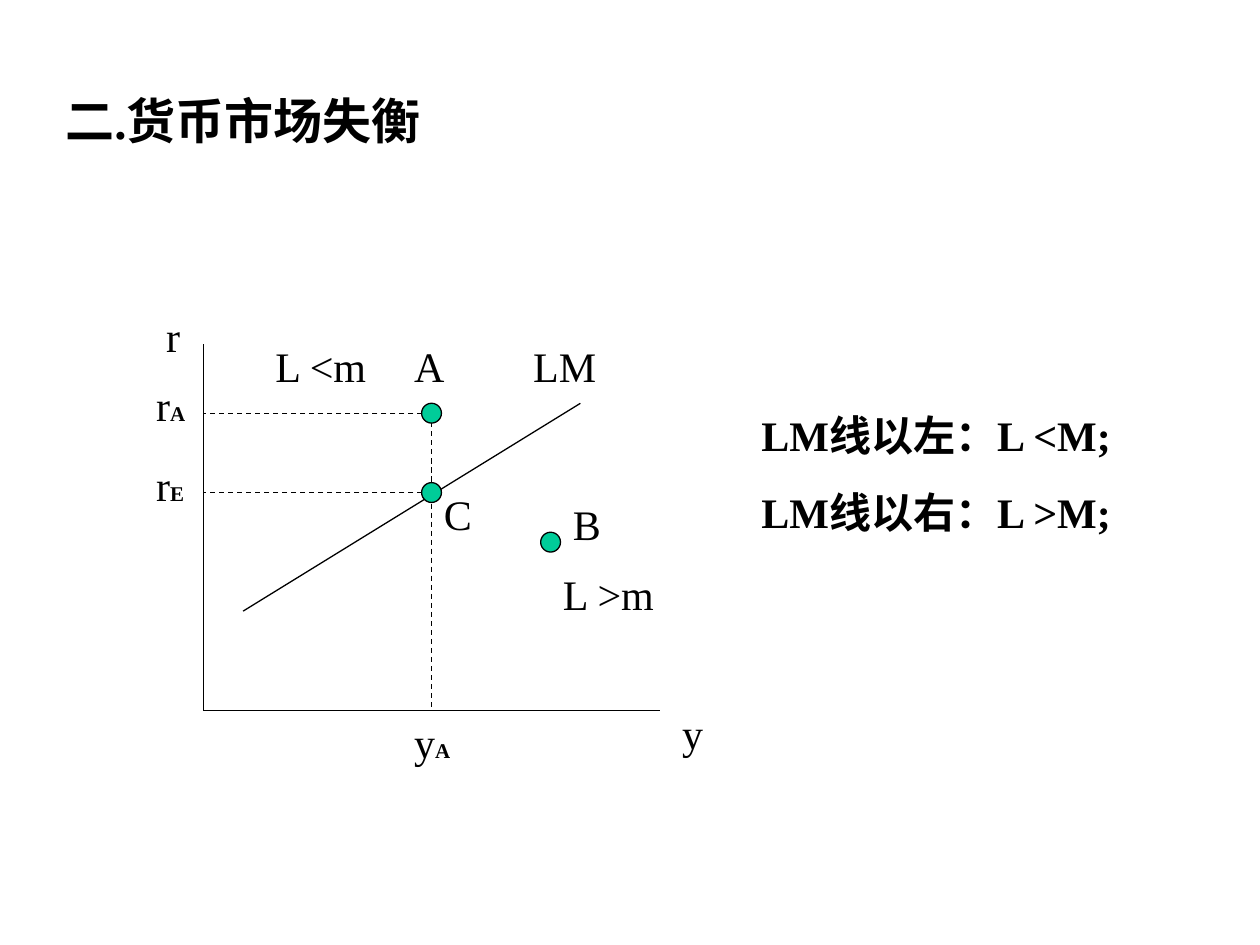
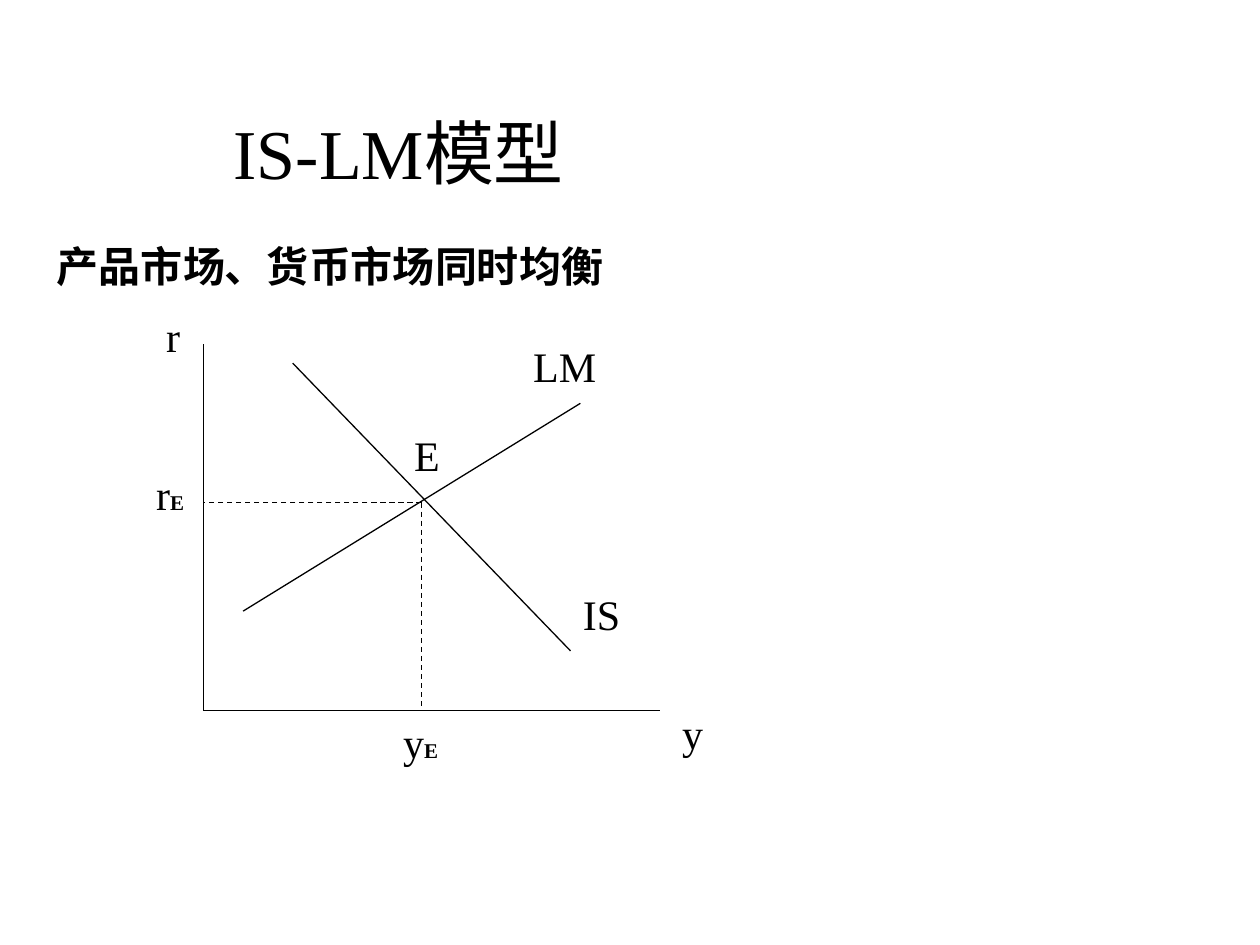
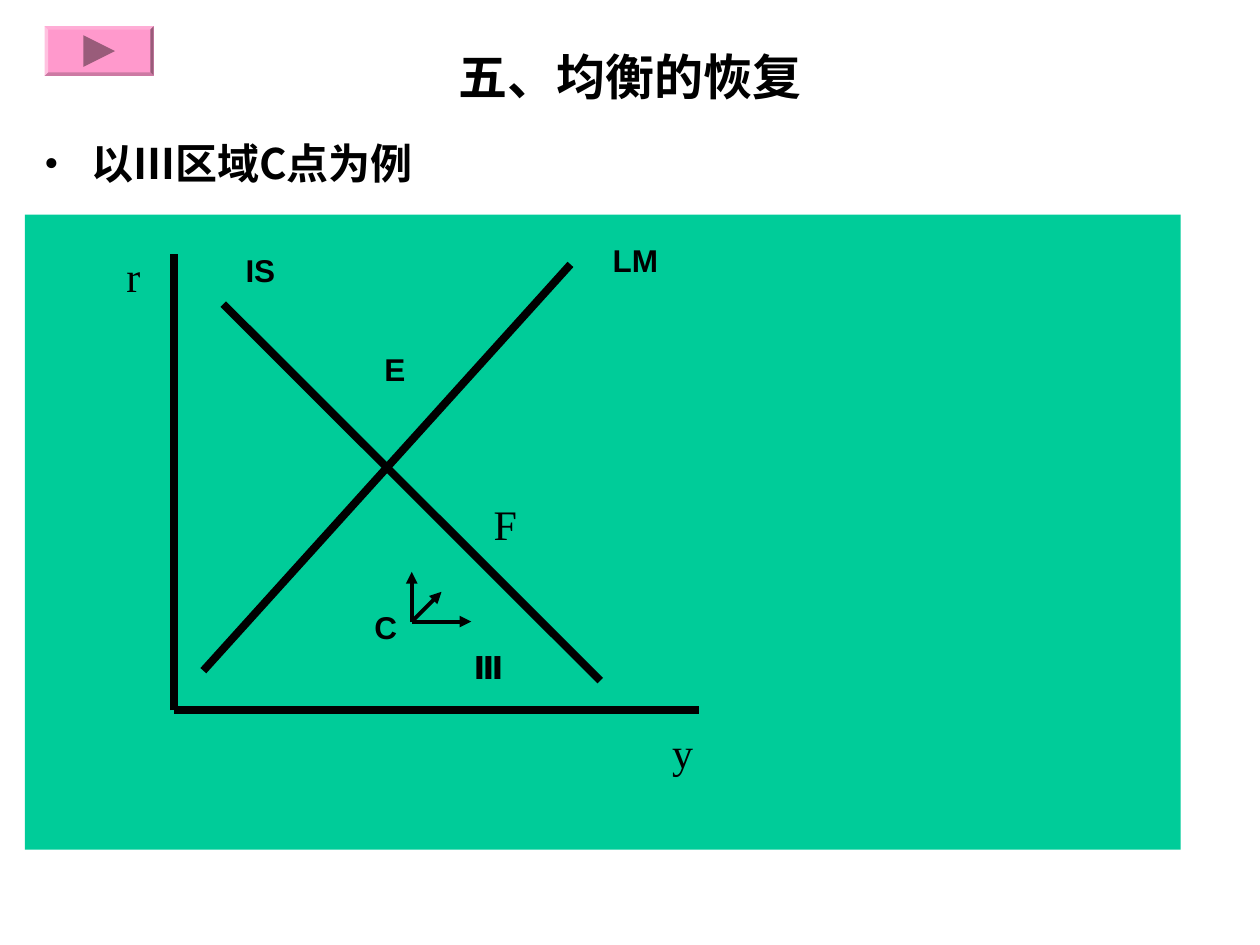
from dataclasses import dataclass
from typing import NamedTuple

from lxml import etree
from pptx import Presentation
from pptx.dml.color import RGBColor
from pptx.enum.dml import MSO_LINE
from pptx.enum.shapes import MSO_CONNECTOR, MSO_SHAPE
from pptx.enum.text import MSO_ANCHOR, MSO_AUTO_SIZE, PP_ALIGN
from pptx.oxml.ns import qn
from pptx.util import Cm, Pt

DASH = MSO_LINE.DASH
STRAIGHT = MSO_CONNECTOR.STRAIGHT
RECTANGLE, OVAL = MSO_SHAPE.RECTANGLE, MSO_SHAPE.OVAL
MIDDLE, TOP = MSO_ANCHOR.MIDDLE, MSO_ANCHOR.TOP
FIT, FIXED = MSO_AUTO_SIZE.SHAPE_TO_FIT_TEXT, MSO_AUTO_SIZE.NONE
CENTER, LEFT = PP_ALIGN.CENTER, PP_ALIGN.LEFT


class TextStyle(NamedTuple):
    size: float
    font: str
    bold: bool = False


@dataclass(frozen=True)
class Theme:
    ink: str = "000000"
    green: str = "00CC99"
    button_face: str = "FF99CC"
    button_top: str = "FFADD6"
    button_left: str = "FFC2E0"
    button_bottom: str = "CC7AA3"
    button_dark: str = "995C7A"
    serif: str = "Times New Roman"
    sans: str = "Arial"
    chinese: str = "Noto Sans CJK SC"
    thin: float = 0.75
    arrow: float = 2.25
    thick: float = 4.5


THEME = Theme()
TITLE = TextStyle(40, THEME.serif)
HEADING = TextStyle(28, THEME.serif, True)
CHINESE_HEADING = TextStyle(28, THEME.chinese, True)
STRONG = TextStyle(24, THEME.serif, True)
BULLET = TextStyle(24, THEME.chinese, True)
SYMBOL = TextStyle(24, THEME.serif)
SUBSCRIPT = TextStyle(12, THEME.serif, True)
TAG = TextStyle(18, THEME.sans, True)


class Point(NamedTuple):
    x: float
    y: float


@dataclass(frozen=True)
class Label:
    """Text box; lengths in centimetres, one paragraph per line of text."""
    text: str
    left: float
    top: float
    width: float
    style: TextStyle = SYMBOL
    height: float = 1.27
    subscript: str = ""
    wrap: bool = True
    centered: bool = False
    grow: bool = True


@dataclass(frozen=True)
class Segment:
    start: Point
    end: Point
    weight: float = THEME.thin
    dashed: bool = False
    arrow: bool = False


# Drawing functions

def add_run(paragraph, text: str, style: TextStyle) -> None:
    run = paragraph.add_run()
    run.text = text
    font = run.font
    font.size, font.bold, font.name = Pt(style.size), style.bold, style.font
    font.color.rgb = RGBColor.from_string(THEME.ink)
    properties = run._r.get_or_add_rPr()
    etree.SubElement(properties, qn("a:ea")).set("typeface", THEME.chinese)


def add_label(slide, label: Label):
    box = slide.shapes.add_textbox(
        Cm(label.left), Cm(label.top), Cm(label.width), Cm(label.height))
    frame = box.text_frame
    frame.word_wrap = label.wrap
    frame.auto_size = FIT if label.grow else FIXED
    frame.vertical_anchor = MIDDLE if label.centered else TOP
    for index, line in enumerate(label.text.split("\n")):
        paragraph = frame.add_paragraph() if index else frame.paragraphs[0]
        paragraph.alignment = CENTER if label.centered else LEFT
        if index:
            paragraph.space_before = Pt(15)
        add_run(paragraph, line, label.style)
        if label.subscript:
            add_run(paragraph, label.subscript, SUBSCRIPT)
    return box


def add_bullet(paragraph) -> None:
    properties = paragraph._p.get_or_add_pPr()
    properties.set("marL", str(Cm(0.95)))
    properties.set("indent", str(-Cm(0.95)))
    color = etree.SubElement(properties, qn("a:buClr"))
    etree.SubElement(color, qn("a:srgbClr")).set("val", THEME.ink)
    etree.SubElement(properties, qn("a:buFont")).set("typeface", THEME.serif)
    etree.SubElement(properties, qn("a:buChar")).set("char", "•")
    paragraph.line_spacing = 0.9


def add_segment(slide, segment: Segment) -> None:
    connector = slide.shapes.add_connector(
        STRAIGHT, *(Cm(value) for value in (*segment.start, *segment.end)))
    line = connector.line
    line.width = Pt(segment.weight)
    line.color.rgb = RGBColor.from_string(THEME.ink)
    if segment.dashed:
        line.dash_style = DASH
    if segment.arrow:
        etree.SubElement(line._get_or_add_ln(), qn("a:tailEnd")).set("type", "triangle")
    etree.SubElement(connector._element.spPr, qn("a:effectLst"))


def paint(shape, fill: str, outlined: bool = False) -> None:
    shape.shadow.inherit = False
    shape.fill.solid()
    shape.fill.fore_color.rgb = RGBColor.from_string(fill)
    if outlined:
        shape.line.color.rgb = RGBColor.from_string(THEME.ink)
        shape.line.width = Pt(THEME.thin)
    else:
        shape.line.fill.background()


def add_dot(slide, center: Point) -> None:
    radius = 0.2
    dot = slide.shapes.add_shape(
        OVAL, Cm(center.x - radius), Cm(center.y - radius), Cm(2 * radius), Cm(2 * radius))
    paint(dot, THEME.green, outlined=True)


def add_polygon(slide, points: list[Point], fill: str) -> None:
    corners = [(Cm(point.x), Cm(point.y)) for point in points]
    builder = slide.shapes.build_freeform(*corners[0])
    builder.add_line_segments(corners[1:], close=True)
    paint(builder.convert_to_shape(), fill)


def rectangle_corners(left: float, top: float, right: float, bottom: float) -> list[Point]:
    return [Point(left, top), Point(right, top), Point(right, bottom), Point(left, bottom)]


def add_next_button(slide, left: float, top: float, width: float, height: float) -> None:
    bevel = 0.07
    right, bottom = left + width, top + height
    outer = rectangle_corners(left, top, right, bottom)
    inner = rectangle_corners(left + bevel, top + bevel, right - bevel, bottom - bevel)
    add_polygon(slide, outer, THEME.button_face)
    edges = (THEME.button_top, THEME.button_dark, THEME.button_bottom, THEME.button_left)
    for side, color in enumerate(edges):
        following = (side + 1) % 4
        add_polygon(slide, [outer[side], outer[following], inner[following], inner[side]], color)
    middle = Point(left + width / 2, top + height / 2)
    reach = 0.32
    add_polygon(slide, [Point(middle.x - reach, middle.y - reach),
                        Point(middle.x + reach, middle.y),
                        Point(middle.x - reach, middle.y + reach)], THEME.button_dark)


def add_all(slide, items: list) -> None:
    for item in items:
        if isinstance(item, Label):
            add_label(slide, item)
        else:
            add_segment(slide, item)


# Parts shared by the diagrams

ORIGIN = Point(4.1, 14.32)


def add_axes(slide, origin: Point, top: float, right: float, weight: float) -> None:
    for end in (Point(origin.x, top), Point(right, origin.y)):
        add_segment(slide, Segment(origin, end, weight))


def add_lm_diagram(slide) -> None:
    add_axes(slide, ORIGIN, 6.93, 13.3, THEME.thin)
    add_all(slide, [
        Segment(Point(4.9, 12.32), Point(11.7, 8.13)),
        Label("r", 3.1, 6.13, 1),
        Label("y", 13.5, 14.13, 1.4),
        Label("LM", 10.5, 6.73, 2.2),
    ])


def add_rate_level(slide, point: Point, name: str) -> None:
    add_segment(slide, Segment(point, Point(ORIGIN.x, point.y), dashed=True))
    add_label(slide, Label("r", 2.9, point.y - 0.8, 1.2, subscript=name))


def add_income_level(slide, point: Point, name: str, label_left: float) -> None:
    add_segment(slide, Segment(point, Point(point.x, ORIGIN.y), dashed=True))
    add_label(slide, Label("y", label_left, ORIGIN.y, 1.6, subscript=name))


# Slides

def build_money_market(slide) -> None:
    point_a, point_b, point_c = Point(8.7, 8.33), Point(11.1, 10.93), Point(8.7, 9.93)
    add_label(slide, Label("二.货币市场失衡", 1.07, 1.7, 9.73, HEADING, 1.45))
    add_lm_diagram(slide)
    add_income_level(slide, point_a, "A", 8.1)
    add_rate_level(slide, point_a, "A")
    add_rate_level(slide, point_c, "E")
    for point in (point_a, point_b, point_c):
        add_dot(slide, point)
    add_all(slide, [
        Label("A", 8.1, 6.73, 1),
        Label("B", 11.3, 9.93, 1),
        Label("C", 8.7, 9.73, 1.07, wrap=False),
        Label("L <m", 5.3, 6.73, 2.6),
        Label("L >m", 11.1, 11.33, 2.6),
        Label("LM线以左：L <M;\nLM线以右：L >M;", 15.1, 8.13, 8, STRONG, 2.82),
    ])


def build_is_lm_model(slide) -> None:
    equilibrium = Point(8.5, 10.13)
    add_all(slide, [
        Label("IS-LM模型", 0, 2.41, 16.08, TITLE, centered=True, grow=False),
        Label("产品市场、货币市场同时均衡", 0.9, 4.73, 12.7, STRONG),
    ])
    add_lm_diagram(slide)
    add_income_level(slide, equilibrium, "E", 7.88)
    add_rate_level(slide, equilibrium, "E")
    add_all(slide, [
        Segment(Point(5.9, 7.32), Point(11.5, 13.12)),
        Label("IS", 11.5, 11.73, 1.4),
        Label("E", 8.1, 8.53, 1.4),
    ])


def build_recovery(slide) -> None:
    add_label(slide, Label("五、均衡的恢复", 1.9, 0.74, 21.6, CHINESE_HEADING, 1.6,
                           centered=True, grow=False))
    body = add_label(slide, Label("以Ⅲ区域C点为例", 0.64, 2.77, 11.23, BULLET, 15.6,
                                  grow=False))
    add_bullet(body.text_frame.paragraphs[0])
    panel = slide.shapes.add_shape(RECTANGLE, Cm(0.5), Cm(4.33), Cm(23.3), Cm(12.8))
    paint(panel, THEME.green)

    # Curves, and the forces acting on point C
    add_axes(slide, Point(3.5, 14.32), 5.13, 14.1, THEME.thick)
    add_segment(slide, Segment(Point(4.1, 13.52), Point(11.5, 5.33), THEME.thick))
    add_segment(slide, Segment(Point(4.5, 6.13), Point(12.1, 13.72), THEME.thick))
    for target in (Point(9.5, 12.53), Point(8.3, 11.53), Point(8.9, 11.93)):
        add_segment(slide, Segment(Point(8.3, 12.53), target, THEME.arrow, arrow=True))

    add_all(slide, [
        Label("LM", 12.1, 4.73, 1.5, TAG, 1.02),
        Label("IS", 4.7, 4.93, 1.4, TAG, 1.02),
        Label("C", 7.3, 12.13, 0.97, TAG, 1.02),
        Label("Ⅲ", 9.3, 12.93, 1.14, TAG, 1.02),
        Label("E", 7.5, 6.93, 0.94, TAG, 1.02),
        Label("y", 13.3, 14.53, 0.91, wrap=False),
        Label("r", 2.3, 4.93, 0.79, wrap=False),
        Label("F", 9.7, 9.93, 0.97, wrap=False),
    ])
    add_next_button(slide, 0.9, 0.53, 2.2, 1)


def main() -> None:
    presentation = Presentation()
    presentation.slide_width, presentation.slide_height = Cm(25.4), Cm(19.05)
    blank = presentation.slide_layouts[6]
    for build in (build_money_market, build_is_lm_model, build_recovery):
        build(presentation.slides.add_slide(blank))
    presentation.save("out.pptx")


if __name__ == "__main__":
    main()
